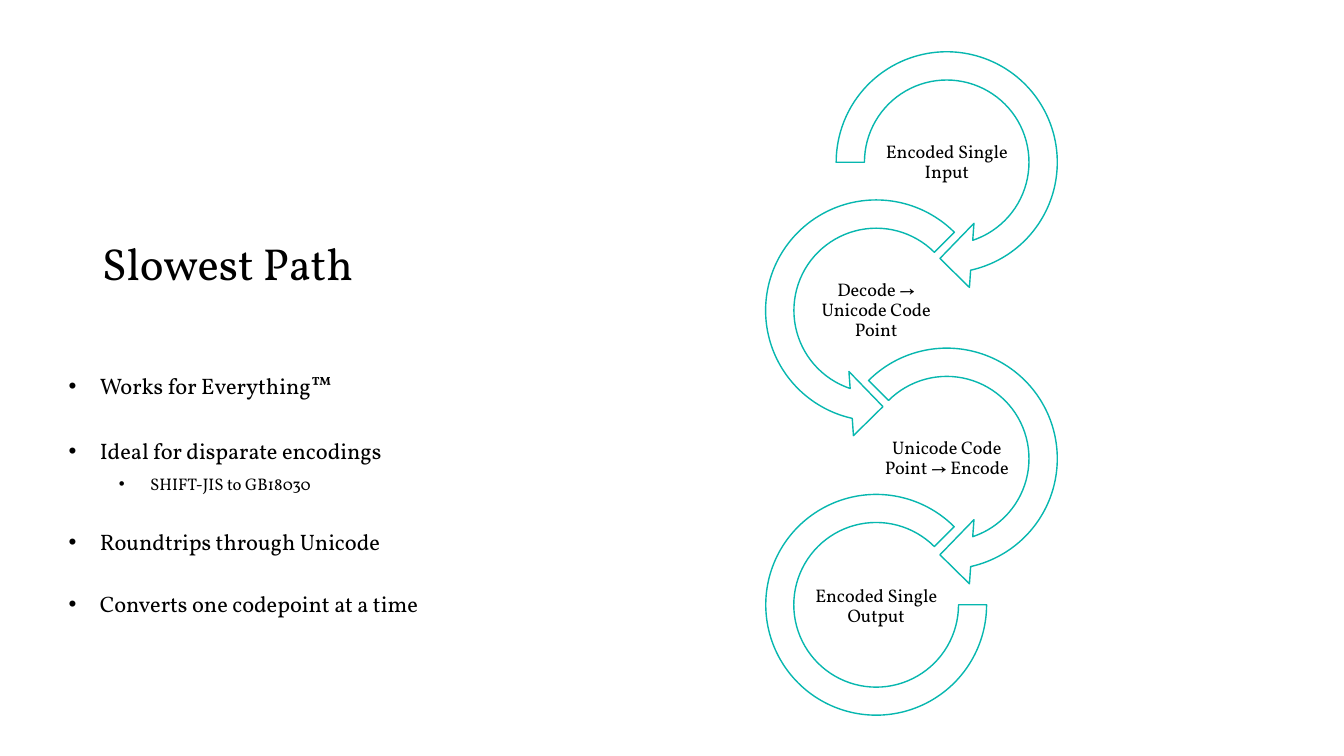
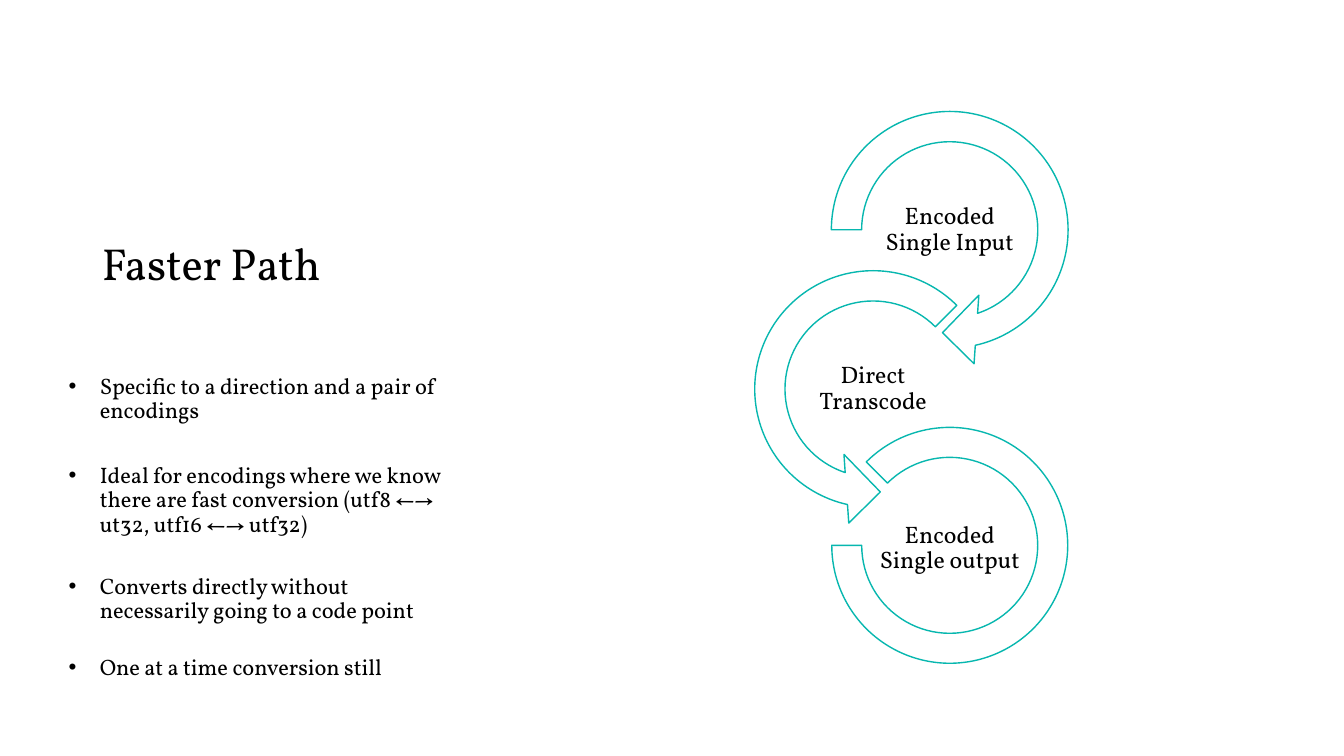
from dataclasses import dataclass

from lxml import etree
from pptx import Presentation
from pptx.dml.color import RGBColor
from pptx.enum.shapes import MSO_SHAPE
from pptx.enum.text import MSO_ANCHOR, MSO_AUTO_SIZE, PP_ALIGN
from pptx.oxml.ns import qn
from pptx.util import Inches, Pt

RIGHT_TURN = MSO_SHAPE.CIRCULAR_ARROW
LEFT_TURN = MSO_SHAPE.LEFT_CIRCULAR_ARROW
ARC = MSO_SHAPE.BLOCK_ARC
LEFT, CENTER = PP_ALIGN.LEFT, PP_ALIGN.CENTER
TOP, MIDDLE, BOTTOM = MSO_ANCHOR.TOP, MSO_ANCHOR.MIDDLE, MSO_ANCHOR.BOTTOM
NO_FIT = MSO_AUTO_SIZE.NONE

COLORS = {"text": "000000", "fill": "FFFFFF", "line": "07B7AF"}
FONT = "Vollkorn"
TITLE_AREA = (0.91, 0.83, 3.58, 2.1)
BULLET_SIZES = (16, 12)
BULLET_MARGINS = (0.31, 0.81)
BULLET_HANG = 0.31
LABEL_INSET = 0.01

FIRST_TURN = (0.11, 11.42, 45, 108, 0.125)
LEFT_BEND = (0.11, 11.42, 63, 189, 0.125)
RIGHT_BEND = (0.11, 11.42, 45, 135, 0.125)
END_FROM_RIGHT = (0, 189, 0.127)
END_FROM_LEFT = (135, 108, 0.127)


@dataclass(frozen=True)
class Bullet:
    text: str
    gap: float = 0
    level: int = 0


@dataclass(frozen=True)
class Step:
    label: str
    preset: MSO_SHAPE
    adjustments: tuple[float, ...]


@dataclass(frozen=True)
class Chain:
    steps: tuple[Step, ...]
    right_center: float
    left_center: float
    first_center: float
    pitch: float
    arrow_size: float
    arc_size: float
    arc_lift: float
    label_size: tuple[float, float]
    font_size: float


@dataclass(frozen=True)
class PathPage:
    title: str
    body_height: float
    bullets: tuple[Bullet, ...]
    chain: Chain


PAGES = (
    PathPage(
        "Slowest Path",
        2.92,
        (
            Bullet("Works for Everything™"),
            Bullet("Ideal for disparate encodings", 29.4),
            Bullet("SHIFT-JIS to GB18030", 8, 1),
            Bullet("Roundtrips through Unicode", 27),
            Bullet("Converts one codepoint at a time", 27),
        ),
        Chain(
            (
                Step("Encoded Single Input", RIGHT_TURN, FIRST_TURN),
                Step("Decode → Unicode Code Point", LEFT_TURN, LEFT_BEND),
                Step("Unicode Code Point → Encode", RIGHT_TURN, RIGHT_BEND),
                Step("Encoded Single Output", ARC, END_FROM_RIGHT),
            ),
            right_center=9.39,
            left_center=8.69,
            first_center=1.61,
            pitch=1.47,
            arrow_size=2.55,
            arc_size=2.19,
            arc_lift=0.02,
            label_size=(1.42, 0.71),
            font_size=13,
        ),
    ),
    PathPage(
        "Faster Path",
        3.5,
        (
            Bullet("Specific to a direction and a pair of encodings"),
            Bullet(
                "Ideal for encodings where we know there are fast conversion "
                "(utf8 ←→ ut32, utf16 ←→ utf32)",
                29.4,
            ),
            Bullet("Converts directly without necessarily going to a code point", 27),
            Bullet("One at a time conversion still", 23.4),
        ),
        Chain(
            (
                Step("Encoded Single Input", RIGHT_TURN, FIRST_TURN),
                Step("Direct Transcode", LEFT_TURN, LEFT_BEND),
                Step("Encoded Single output", ARC, END_FROM_LEFT),
            ),
            right_center=9.42,
            left_center=8.66,
            first_center=2.28,
            pitch=1.58,
            arrow_size=2.73,
            arc_size=2.34,
            arc_lift=0.03,
            label_size=(1.52, 0.76),
            font_size=17,
        ),
    ),
)


def color(name: str) -> RGBColor:
    return RGBColor.from_string(COLORS[name])


def place(box, left: float, top: float, width: float, height: float) -> None:
    box.left, box.top = Inches(left), Inches(top)
    box.width, box.height = Inches(width), Inches(height)


def prepare_frame(box, *, anchor: MSO_ANCHOR):
    frame = box.text_frame
    frame.word_wrap = True
    frame.auto_size = NO_FIT
    frame.vertical_anchor = anchor
    return frame


def write(para, text: str, *, size: float, align: PP_ALIGN = LEFT, gap: float = 0) -> None:
    para.alignment = align
    para.line_spacing = 0.9
    para.space_before = Pt(gap)
    span = para.add_run()
    span.text = text
    span.font.name = FONT
    span.font.size = Pt(size)
    span.font.color.rgb = color("text")


def add_bullet_mark(para, level: int) -> None:
    para.level = level
    properties = para._p.get_or_add_pPr()
    properties.set("marL", str(Inches(BULLET_MARGINS[level])))
    properties.set("indent", str(-Inches(BULLET_HANG)))
    etree.SubElement(properties, qn("a:buFont"), typeface="Arial")
    etree.SubElement(properties, qn("a:buChar"), char="•")


def fill_title(box, title: str) -> None:
    place(box, *TITLE_AREA)
    frame = prepare_frame(box, anchor=BOTTOM)
    write(frame.paragraphs[0], title, size=32)


def fill_body(box, bullets: tuple[Bullet, ...], height: float) -> None:
    place(box, 0.58, 3.67, 3.92, height)
    frame = prepare_frame(box, anchor=TOP)
    for index, bullet in enumerate(bullets):
        para = frame.add_paragraph() if index else frame.paragraphs[0]
        add_bullet_mark(para, bullet.level)
        write(para, bullet.text, size=BULLET_SIZES[bullet.level], gap=bullet.gap)


def add_ring(page, step: Step, center_x: float, center_y: float, size: float) -> None:
    ring = page.shapes.add_shape(
        step.preset,
        Inches(center_x - size / 2),
        Inches(center_y - size / 2),
        Inches(size),
        Inches(size),
    )
    for index, value in enumerate(step.adjustments):
        ring.adjustments[index] = value
    ring.shadow.inherit = False
    ring.fill.solid()
    ring.fill.fore_color.rgb = color("fill")
    ring.line.color.rgb = color("line")
    ring.line.width = Pt(1)


def add_label(page, text: str, center_x: float, center_y: float, chain: Chain) -> None:
    width, height = chain.label_size
    box = page.shapes.add_textbox(0, 0, 0, 0)
    place(box, center_x - width / 2, center_y - height / 2, width, height)
    frame = prepare_frame(box, anchor=MIDDLE)
    frame.margin_left = frame.margin_right = Inches(LABEL_INSET)
    frame.margin_top = frame.margin_bottom = Inches(LABEL_INSET)
    write(frame.paragraphs[0], text, size=chain.font_size, align=CENTER)


def add_chain(page, chain: Chain) -> None:
    for index, step in enumerate(chain.steps):
        center_x = chain.left_center if index % 2 else chain.right_center
        center_y = chain.first_center + index * chain.pitch
        if step.preset == ARC:
            add_ring(page, step, center_x, center_y - chain.arc_lift, chain.arc_size)
        else:
            add_ring(page, step, center_x, center_y, chain.arrow_size)
        add_label(page, step.label, center_x, center_y, chain)


def add_page(deck, content: PathPage) -> None:
    page = deck.slides.add_slide(deck.slide_layouts[1])
    fill_title(page.shapes.title, content.title)
    fill_body(page.placeholders[1], content.bullets, content.body_height)
    add_chain(page, content.chain)


def main() -> None:
    deck = Presentation()
    deck.slide_width, deck.slide_height = Inches(13.33), Inches(7.5)
    for content in PAGES:
        add_page(deck, content)
    deck.save("out.pptx")


if __name__ == "__main__":
    main()
